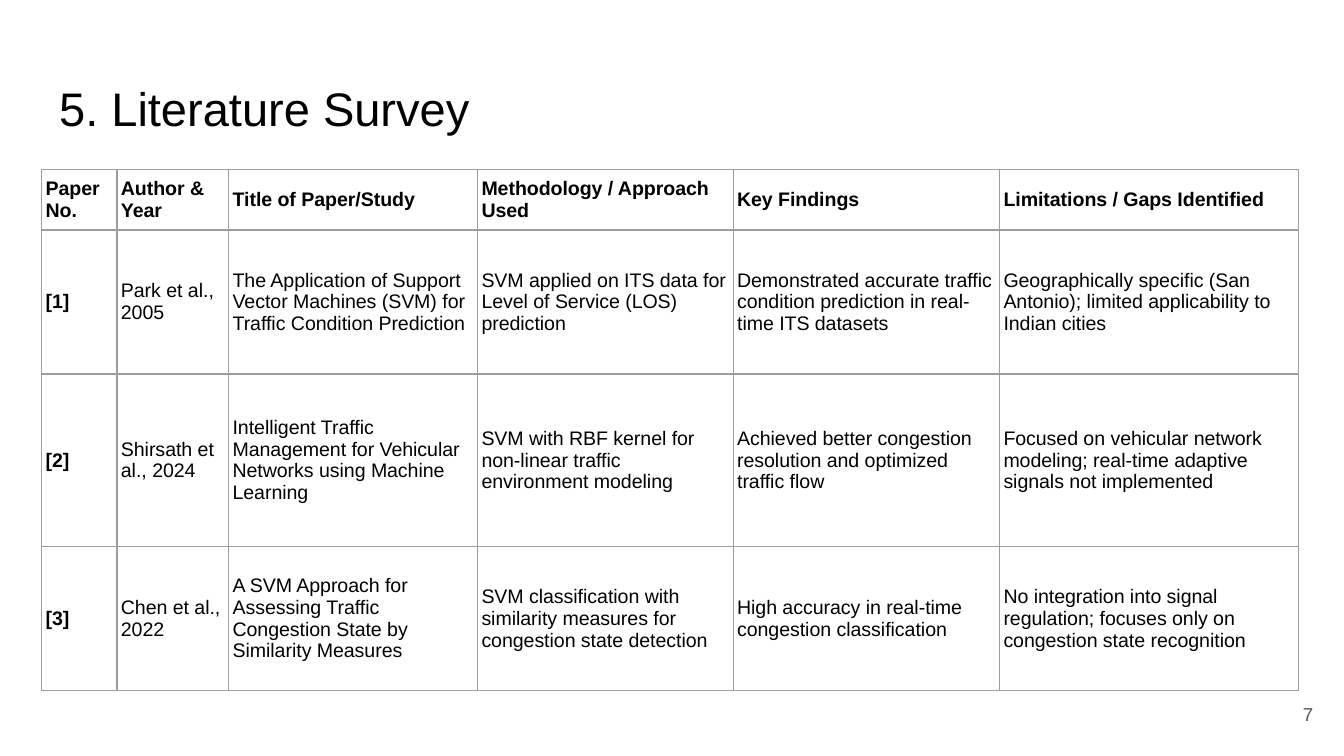
"""Builds the literature survey slide."""
import pptx
import pptx.dml.color
import pptx.enum.text
import pptx.oxml.ns
import pptx.util
from lxml import etree

COLORS = {"text": "000000", "border": "9E9E9E", "number": "595959"}
FONT = "Arial"
SLIDE_SIZE = (10, 10 * 9 / 16)
COLUMN_WIDTHS = (0.56, 0.83, 1.85, 1.9, 1.98, 2.22)
ROW_HEIGHTS = (0.45, 1.07, 1.28, 1.07)
PAPERS = [
    ("Paper No.", "Author & Year", "Title of Paper/Study", "Methodology / Approach Used",
     "Key Findings", "Limitations / Gaps Identified"),
    ("[1]", "Park et al., 2005",
     "The Application of Support Vector Machines (SVM) for Traffic Condition Prediction",
     "SVM applied on ITS data for Level of Service (LOS) prediction",
     "Demonstrated accurate traffic condition prediction in real-time ITS datasets",
     "Geographically specific (San Antonio); limited applicability to Indian cities"),
    ("[2]", "Shirsath et al., 2024",
     "Intelligent Traffic Management for Vehicular Networks using Machine Learning",
     "SVM with RBF kernel for non-linear traffic environment modeling",
     "Achieved better congestion resolution and optimized traffic flow",
     "Focused on vehicular network modeling; real-time adaptive signals not implemented"),
    ("[3]", "Chen et al., 2022",
     "A SVM Approach for Assessing Traffic Congestion State by Similarity Measures",
     "SVM classification with similarity measures for congestion state detection",
     "High accuracy in real-time congestion classification",
     "No integration into signal regulation; focuses only on congestion state recognition"),
]


def to_lengths(values):
    """Convert inches to lengths."""
    return [pptx.util.Inches(value) for value in values]


def write_text(frame, text, size, color="text", bold=False, align="LEFT"):
    """Put one formatted paragraph into a text frame."""
    paragraph = frame.paragraphs[0]
    paragraph.text = text
    paragraph.alignment = getattr(pptx.enum.text.PP_ALIGN, align)
    paragraph.font.name = FONT
    paragraph.font.size = pptx.util.Pt(size)
    paragraph.font.bold = bold
    paragraph.font.color.rgb = pptx.dml.color.RGBColor.from_string(COLORS[color])


def set_layout(target, horizontal, vertical, anchor="MIDDLE"):
    """Set the inner margins and anchor of a cell or text frame."""
    target.margin_left = target.margin_right = pptx.util.Inches(horizontal)
    target.margin_top = target.margin_bottom = pptx.util.Inches(vertical)
    target.vertical_anchor = getattr(pptx.enum.text.MSO_ANCHOR, anchor)


def set_borders(cell):
    """Draw a thin line on every side of a cell."""
    properties = cell._tc.get_or_add_tcPr()
    for index, side in enumerate(("lnL", "lnR", "lnT", "lnB")):
        line = etree.Element(pptx.oxml.ns.qn(f"a:{side}"), w=str(pptx.util.Pt(0.75)))
        fill = etree.SubElement(line, pptx.oxml.ns.qn("a:solidFill"))
        etree.SubElement(fill, pptx.oxml.ns.qn("a:srgbClr"), val=COLORS["border"])
        properties.insert(index, line)


def place_title(slide, box):
    """Place the slide title in its box."""
    title = slide.shapes.title
    title.left, title.top, title.width, title.height = to_lengths(box)
    frame = title.text_frame
    frame.word_wrap = True
    frame.auto_size = pptx.enum.text.MSO_AUTO_SIZE.NONE
    set_layout(frame, 0.1, 0.1, "TOP")
    write_text(frame, "5. Literature Survey", 25.2)


def place_number(slide, box):
    """Place the page number in its box."""
    frame = slide.shapes.add_textbox(*to_lengths(box)).text_frame
    frame.word_wrap = True
    set_layout(frame, 0.1, 0.1)
    write_text(frame, "7", 10, "number", align="RIGHT")


def place_survey(slide, box):
    """Place the table of papers, sharing its box among columns and rows."""
    left, top, width, height = to_lengths(box)
    table = slide.shapes.add_table(
        len(PAPERS), len(COLUMN_WIDTHS), left, top, width, height).table
    table.horz_banding = False
    for column, share in zip(table.columns, COLUMN_WIDTHS):
        column.width = int(width * share / sum(COLUMN_WIDTHS))
    for row, share in zip(table.rows, ROW_HEIGHTS):
        row.height = int(height * share / sum(ROW_HEIGHTS))
    for row_index, texts in enumerate(PAPERS):
        for column_index, text in enumerate(texts):
            cell = table.cell(row_index, column_index)
            cell.fill.background()
            set_layout(cell, 0.03, 0.01)
            set_borders(cell)
            write_text(cell.text_frame, text, 10.5, bold=0 in (row_index, column_index))


def main():
    """Build and save the presentation."""
    presentation = pptx.Presentation()
    presentation.slide_width, presentation.slide_height = to_lengths(SLIDE_SIZE)
    slide = presentation.slides.add_slide(presentation.slide_layouts[5])
    place_title(slide, (0.34, 0.49, 9.32, 0.63))
    place_number(slide, (9.27, 5.1, 0.6, 0.43))
    place_survey(slide, (0.31, 1.26, 9.35, 3.88))
    presentation.save("out.pptx")


if __name__ == "__main__":
    main()
